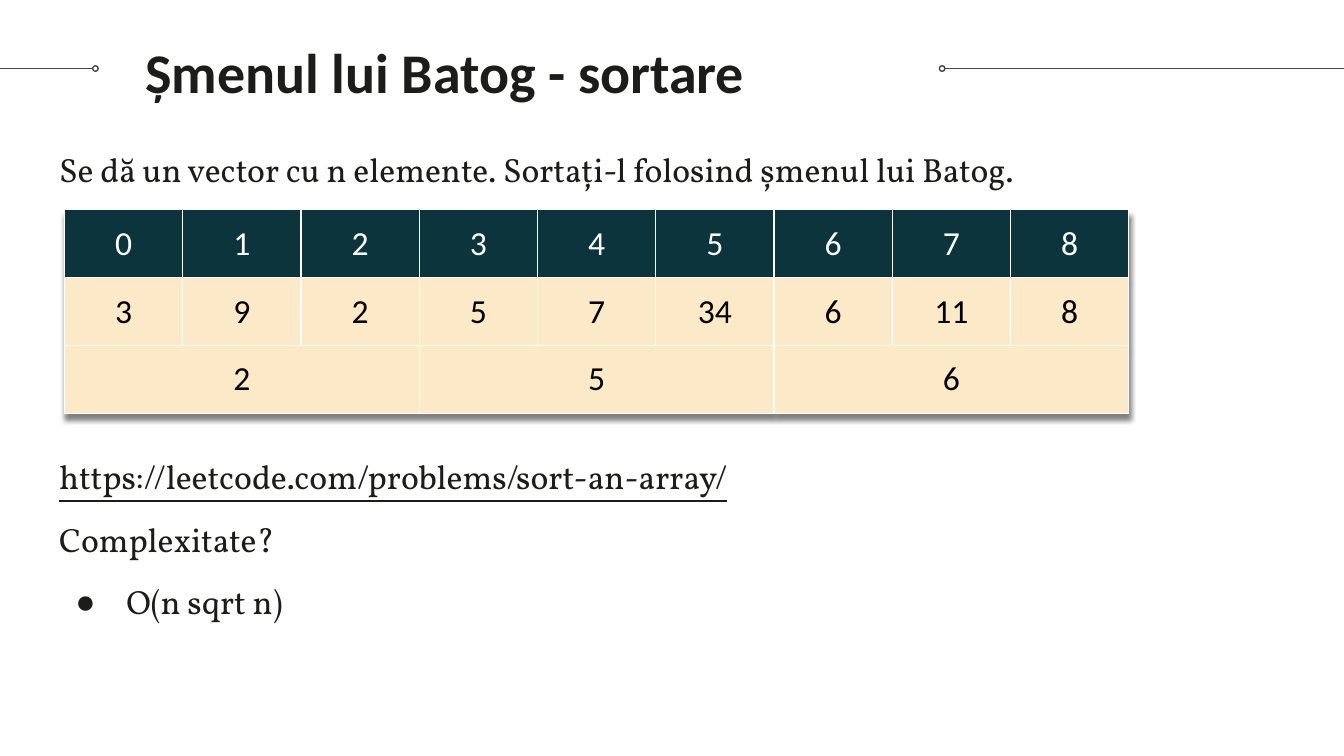
"""Build the slide on sorting with square-root decomposition."""
from dataclasses import dataclass

from lxml.etree import SubElement as Sub
from pptx import Presentation
from pptx.dml.color import RGBColor as Rgb
from pptx.enum.shapes import MSO_CONNECTOR as Conn, MSO_SHAPE as Form
from pptx.enum.text import MSO_ANCHOR as Anchor, MSO_AUTO_SIZE as Auto, PP_ALIGN as Align
from pptx.oxml.ns import qn
from pptx.util import Inches, Pt

HUES = {"ink": "1C1C1B", "rule": "434343", "head": "0C343D", "cell": "FCE9C8",
        "white": "FFFFFF", "black": "000000"}


@dataclass
class Rule:
    start: float
    end: float
    dot: float


@dataclass
class Line:
    text: str
    gap: float
    under: bool = False
    mark: str = ""


@dataclass
class Row:
    words: list[str]
    fill: str
    ink: str


RULES = [Rule(0, 0.69, 0.69), Rule(7.03, 10, 6.99)]
LINES = [
    Line("Se dă un vector cu n elemente. Sortați-l folosind șmenul lui Batog.", 0),
    Line("https://leetcode.com/problems/sort-an-array/", 142.75, under=True),
    Line("Complexitate?", 12),
    Line("O(n sqrt n)", 12, mark="●"),
]
ROWS = [
    Row([str(n) for n in range(9)], "head", "white"),
    Row(["3", "9", "2", "5", "7", "34", "6", "11", "8"], "cell", "black"),
    Row(["2", "5", "6"], "cell", "black"),
]


def hue(name: str) -> Rgb:
    return Rgb.from_string(HUES[name])


def add_run(para, text: str, font: str, size: float, ink: str, bold=False, under=False) -> None:
    run = para.add_run()
    run.text = text
    run.font.name = font
    run.font.size = Pt(size)
    run.font.bold = bold
    run.font.underline = under
    run.font.color.rgb = hue(ink)


def place(shape, left: float, top: float, width: float, height: float):
    shape.left, shape.top = Inches(left), Inches(top)
    shape.width, shape.height = Inches(width), Inches(height)
    frame = shape.text_frame
    frame.word_wrap = True
    frame.auto_size = Auto.NONE
    frame.vertical_anchor = Anchor.TOP
    frame.margin_left = frame.margin_right = Inches(0.1)
    frame.margin_top = frame.margin_bottom = Inches(0.1)
    return frame


def draw_rule(slide, rule: Rule) -> None:
    mid = Inches(0.51)
    line = slide.shapes.add_connector(Conn.STRAIGHT, Inches(rule.start), mid,
                                      Inches(rule.end), mid)
    Sub(line._element.spPr, qn("a:effectLst"))
    dot = slide.shapes.add_shape(Form.OVAL, Inches(rule.dot), Inches(0.49),
                                 Inches(0.04), Inches(0.04))
    dot.shadow.inherit = False
    dot.fill.background()
    for part in (line, dot):
        part.line.color.rgb = hue("rule")
        part.line.width = Pt(0.75)


def write_line(para, line: Line) -> None:
    props = para._p.get_or_add_pPr()
    props.set("marL", str(Inches(0.5 if line.mark else 0)))
    props.set("indent", str(Inches(-0.38 if line.mark else 0)))
    if line.mark:
        Sub(props, qn("a:buChar"), char=line.mark)
    else:
        Sub(props, qn("a:buNone"))
    para.line_spacing = 1.0
    para.space_before = Pt(line.gap)
    add_run(para, line.text, "Vollkorn", 18, "ink", under=line.under)


def edge(cell) -> None:
    props = cell._tc.get_or_add_tcPr()
    for spot, side in enumerate(("a:lnL", "a:lnR", "a:lnT", "a:lnB")):
        line = props.makeelement(qn(side), {"w": str(Pt(0.75))})
        Sub(Sub(line, qn("a:solidFill")), qn("a:srgbClr"), val=HUES["white"])
        props.insert(spot, line)


def draw_grid(slide, rows: list[Row]) -> None:
    count = len(rows[0].words)
    grid = slide.shapes.add_table(len(rows), count, Inches(0.48), Inches(1.56),
                                  Inches(0.88 * count), Inches(0.5 * len(rows))).table
    props = grid._tbl.tblPr
    glow = props.makeelement(qn("a:effectLst"), {})
    props.insert(0, glow)
    shade = Sub(glow, qn("a:outerShdw"), blurRad=str(Pt(3)), dist=str(Pt(3)),
                dir="5400000", algn="bl", rotWithShape="0")
    Sub(Sub(shade, qn("a:srgbClr"), val=HUES["black"]), qn("a:alpha"), val="50000")
    for i, row in enumerate(rows):
        span = count // len(row.words)
        for j in range(count):
            cell = grid.cell(i, j)
            cell.fill.solid()
            cell.fill.fore_color.rgb = hue(row.fill)
            cell.margin_left = cell.margin_right = Inches(0.1)
            cell.margin_top = cell.margin_bottom = Inches(0.1)
            edge(cell)
        for j, word in enumerate(row.words):
            cell = grid.cell(i, j * span)
            if span > 1:
                cell.merge(grid.cell(i, (j + 1) * span - 1))
            para = cell.text_frame.paragraphs[0]
            para.alignment = Align.CENTER
            add_run(para, word, "Calibri", 18, row.ink)


def main() -> None:
    deck = Presentation()
    deck.slide_width = Inches(10)
    deck.slide_height = deck.slide_width * 9 // 16
    slide = deck.slides.add_slide(deck.slide_layouts[1])
    for rule in RULES:
        draw_rule(slide, rule)
    title, body = slide.placeholders
    frame = place(title, 0.98, 0.18, 9.32, 0.77)
    frame.paragraphs[0].alignment = Align.LEFT
    add_run(frame.paragraphs[0], "Șmenul lui Batog - sortare", "Calibri", 30, "ink", bold=True)
    frame = place(body, 0.34, 1.01, 9.32, 4.24)
    for i, line in enumerate(LINES):
        write_line(frame.add_paragraph() if i else frame.paragraphs[0], line)
    draw_grid(slide, ROWS)
    deck.save("out.pptx")


if __name__ == "__main__":
    main()
